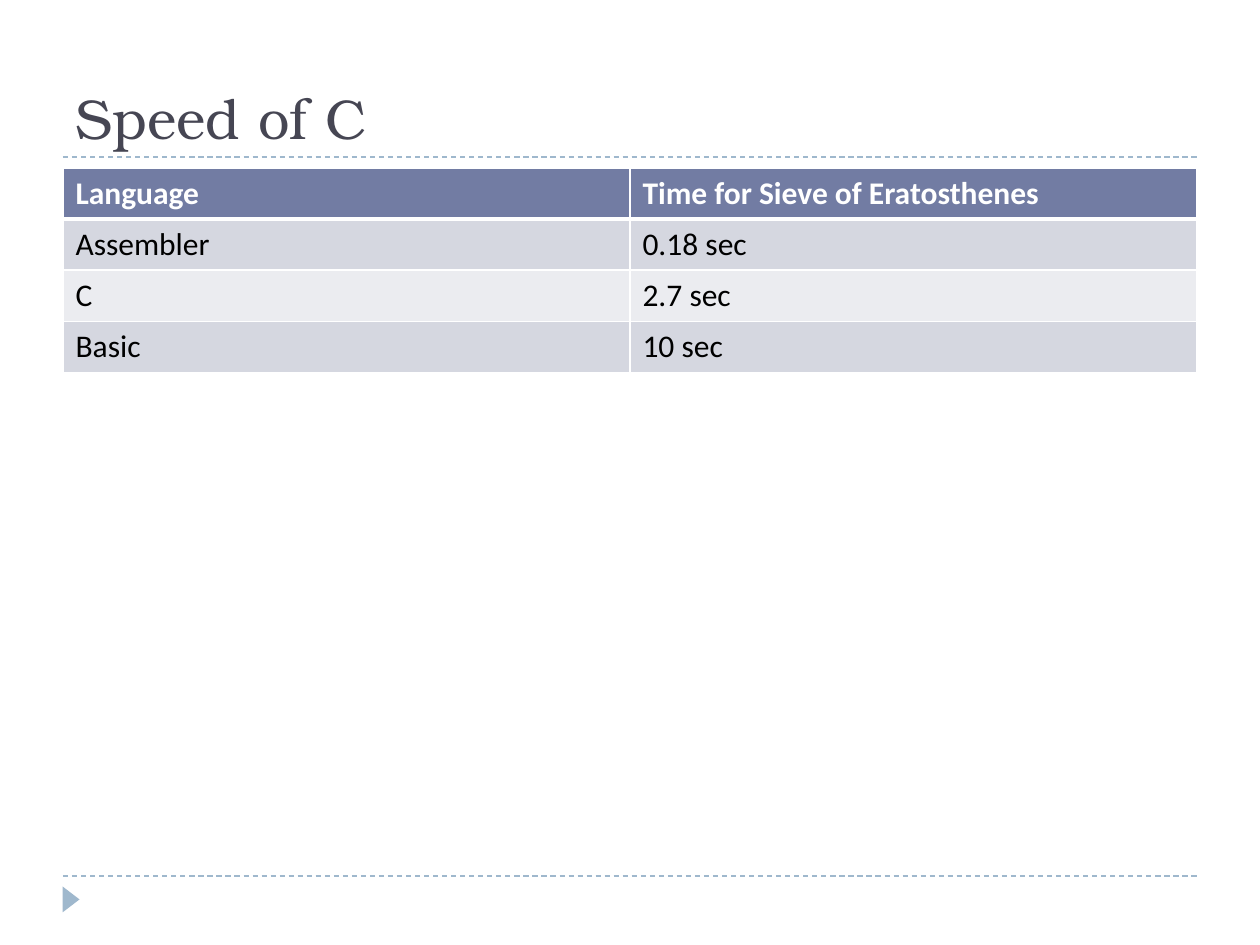
from lxml import etree
from pptx import Presentation
from pptx import util as u
from pptx.dml.color import RGBColor
from pptx.enum import dml, shapes, text
from pptx.oxml.ns import qn

PX = 914400 // 126  # EMU per px
LEFT, WIDTH = 63, 1134
COLORS = {"title": "464653", "accent": "9FB8CD", "header": "727CA3",
          "odd": "D5D7E0", "even": "EBECF0", "white": "FFFFFF", "black": "000000"}
ROWS = [("Language", "Time for Sieve of Eratosthenes"),
        ("Assembler", "0.18 sec"),
        ("C", "2.7 sec"),
        ("Basic", "10 sec")]


def px(*values):
    return [u.Emu(v * PX) for v in values]


def rgb(name):
    return RGBColor.from_string(COLORS[name])


def add_run(p, content, font, size, color, bold=False):
    r = p.add_run()
    r.text = content
    r.font.name, r.font.size, r.font.bold = font, u.Pt(size), bold
    r.font.color.rgb = rgb(color)


def add_rule(s, y):
    line = s.shapes.add_connector(shapes.MSO_CONNECTOR.STRAIGHT,
                                  *px(LEFT, y, LEFT + WIDTH, y))
    line.line.color.rgb = rgb("accent")
    line.line.width = u.Pt(0.75)
    line.line.dash_style = dml.MSO_LINE.DASH
    etree.SubElement(line._element.spPr, qn("a:effectLst"))


def add_marker(s):
    sp = s.shapes.add_shape(shapes.MSO_SHAPE.ISOSCELES_TRIANGLE, *px(58, 891, 26, 17))
    sp.rotation = 90
    sp.shadow.inherit = False
    sp.fill.solid()
    sp.fill.fore_color.rgb = rgb("accent")
    sp.line.fill.background()


def set_title(s, content):
    sp = s.shapes.title
    sp.left, sp.top, sp.width, sp.height = px(LEFT, 21, WIDTH, 136)
    tf = sp.text_frame
    tf.word_wrap = True
    tf.auto_size = text.MSO_AUTO_SIZE.NONE
    tf.vertical_anchor = text.MSO_ANCHOR.BOTTOM
    p = tf.paragraphs[0]
    p.alignment = text.PP_ALIGN.LEFT
    add_run(p, content, "TeX Gyre Bonum", 32, "title")


def set_borders(cell, **widths):
    tc_pr = cell._tc.get_or_add_tcPr()
    for i, (side, width) in enumerate(widths.items()):
        ln = etree.Element(qn(f"a:ln{side}"), w=str(u.Pt(width)))
        fill = etree.SubElement(ln, qn("a:solidFill"))
        etree.SubElement(fill, qn("a:srgbClr"), val=COLORS["white"])
        tc_pr.insert(i, ln)  # borders come before the fill


def add_speed_table(s):
    row_h = 51
    table = s.shapes.add_table(len(ROWS), 2,
                               *px(LEFT, 168, WIDTH, row_h * len(ROWS))).table
    for i, values in enumerate(ROWS):
        table.rows[i].height = px(row_h)[0]
        header = i == 0
        fill = "header" if header else ("odd" if i % 2 else "even")
        for j, value in enumerate(values):
            cell = table.cell(i, j)
            cell.fill.solid()
            cell.fill.fore_color.rgb = rgb(fill)
            add_run(cell.text_frame.paragraphs[0], value, "Calibri", 18,
                    "white" if header else "black", header)
            set_borders(cell, L=1, R=1, T=3 if i == 1 else 1, B=3 if header else 1)


def main():
    prs = Presentation()
    prs.slide_width, prs.slide_height = px(1260, 945)
    s = prs.slides.add_slide(prs.slide_layouts[5])
    # Frame
    add_rule(s, 876)
    add_rule(s, 157)
    add_marker(s)
    # Content
    set_title(s, "Speed of C")
    add_speed_table(s)
    prs.save("out.pptx")


if __name__ == "__main__":
    main()
